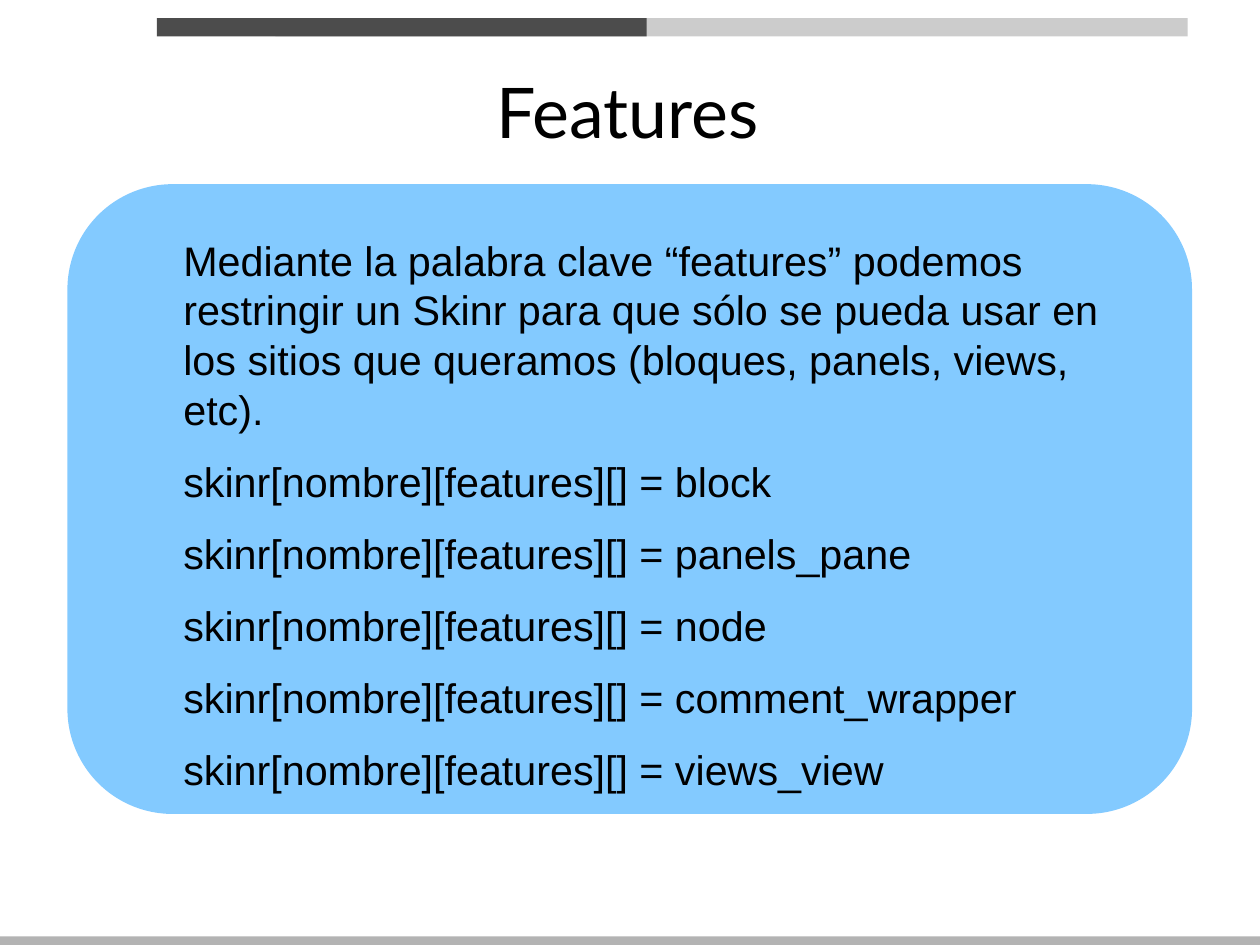
from pptx import Presentation
from pptx.dml.color import RGBColor
from pptx.enum.shapes import MSO_SHAPE as SHAPE
from pptx.enum.text import MSO_ANCHOR as ANCHOR, PP_ALIGN as ALIGN
from pptx.util import Pt

WIDTH, HEIGHT = 793.75, 595.25
INTRO = ("Mediante la palabra clave “features” podemos restringir un Skinr "
         "para que sólo se pueda usar en los sitios que queramos "
         "(bloques, panels, views, etc).")
FEATURES = ["block", "panels_pane", "node", "comment_wrapper", "views_view"]


def color(value):
    return RGBColor.from_string(value)


def add_block(s, kind, box, fill):
    sp = s.shapes.add_shape(kind, *map(Pt, box))
    sp.shadow.inherit = False
    sp.fill.solid()
    sp.fill.fore_color.rgb = color(fill)
    sp.line.fill.background()
    return sp


def add_text(s, box, lines, font, size, align=ALIGN.LEFT,
             anchor=ANCHOR.TOP, indent=0, after=0):
    tf = s.shapes.add_textbox(*map(Pt, box)).text_frame
    tf.word_wrap = True
    tf.vertical_anchor = anchor
    tf.margin_left = Pt(indent)
    tf.margin_right = tf.margin_top = tf.margin_bottom = 0
    for i, line in enumerate(lines):
        p = tf.add_paragraph() if i else tf.paragraphs[0]
        p.text = line
        p.alignment = align
        p.space_after = Pt(after)
        p.font.name = font
        p.font.size = Pt(size)
        p.font.color.rgb = color("000000")


def main():
    prs = Presentation()
    prs.slide_width, prs.slide_height = Pt(WIDTH), Pt(HEIGHT)
    s = prs.slides.add_slide(prs.slide_layouts[6])

    # Panel with the explanation and the feature list
    panel = add_block(s, SHAPE.ROUNDED_RECTANGLE,
                      (42.5, 116, 708.5, 396.7), "83CAFF")
    panel.adjustments[0] = 0.167
    lines = [INTRO] + [f"skinr[nombre][features][] = {f}" for f in FEATURES]
    add_text(s, (81.5, 148.2, 641.5, 489.6), lines, "Arial", 26,
             indent=34, after=14.2)

    # Header bars and title
    add_block(s, SHAPE.RECTANGLE, (173.5, 11.4, 574.6, 11.6), "CCCCCC")
    add_block(s, SHAPE.RECTANGLE, (98.8, 11.4, 308.7, 11.6), "4C4C4C")
    add_text(s, (38.2, 19.8, 714.2, 99.4), ["Features"], "Lato", 44,
             align=ALIGN.CENTER, anchor=ANCHOR.MIDDLE)

    # Footer bar
    add_block(s, SHAPE.RECTANGLE, (0, HEIGHT - 5.4, WIDTH, 5.4), "B3B3B3")

    prs.save("out.pptx")


if __name__ == "__main__":
    main()
